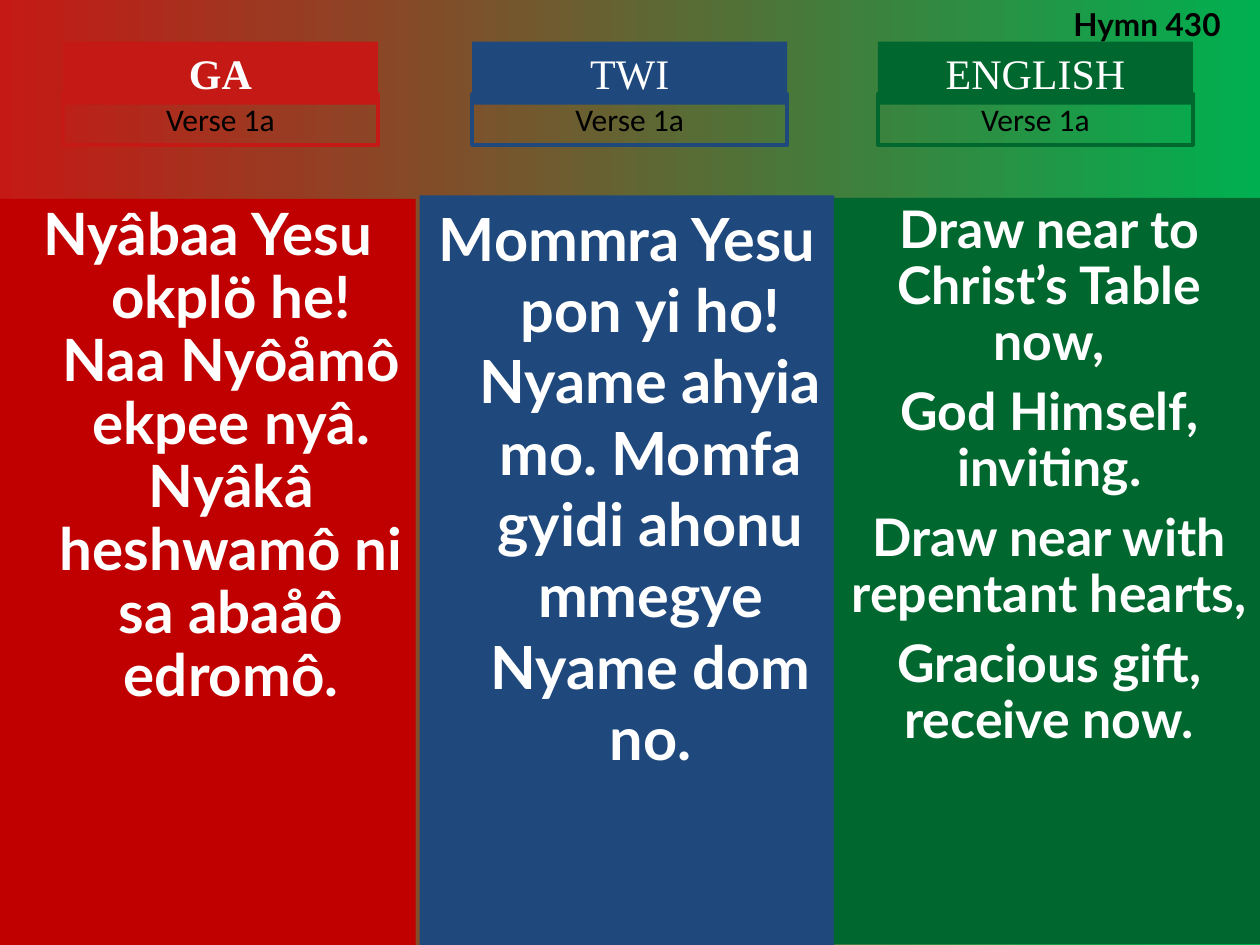
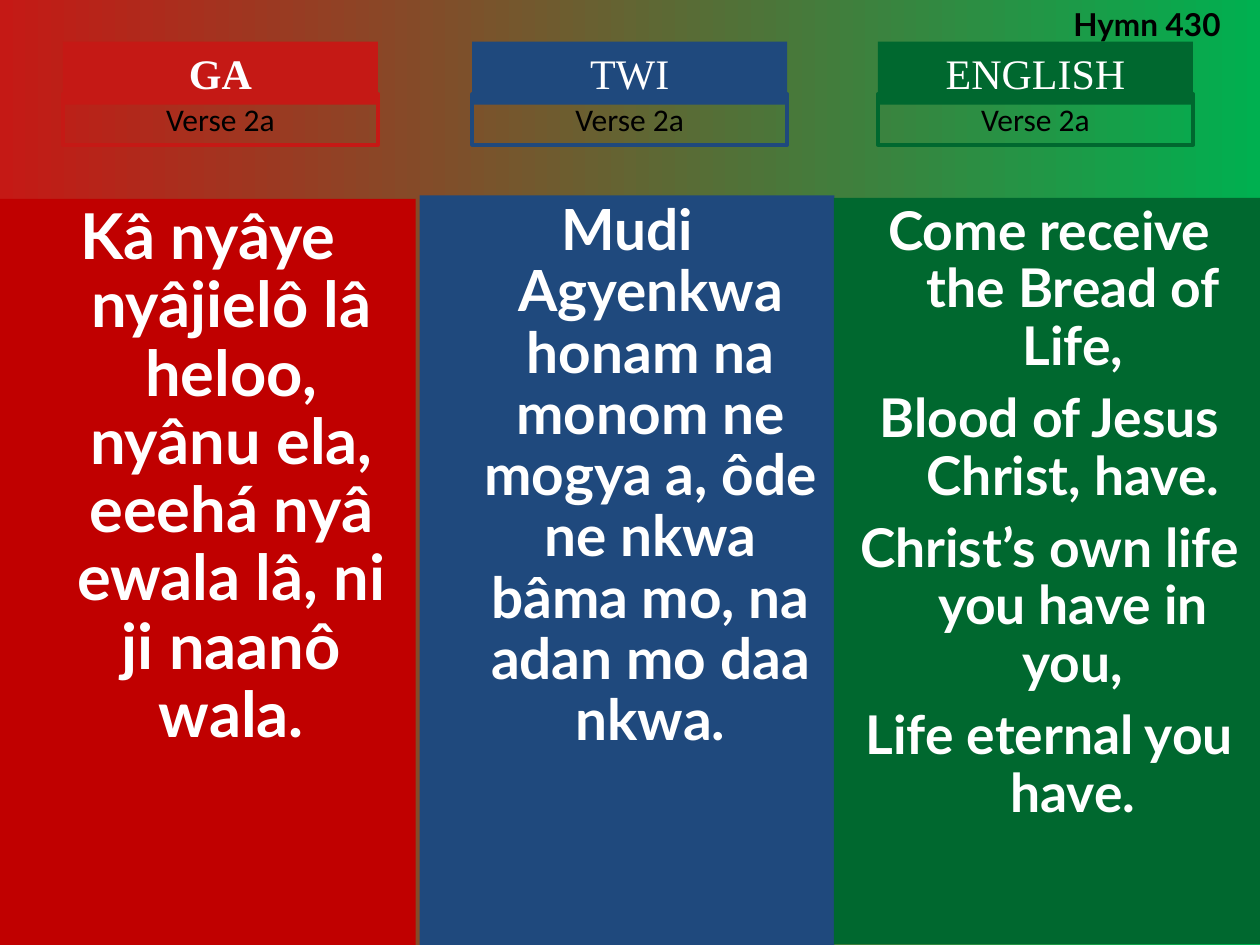
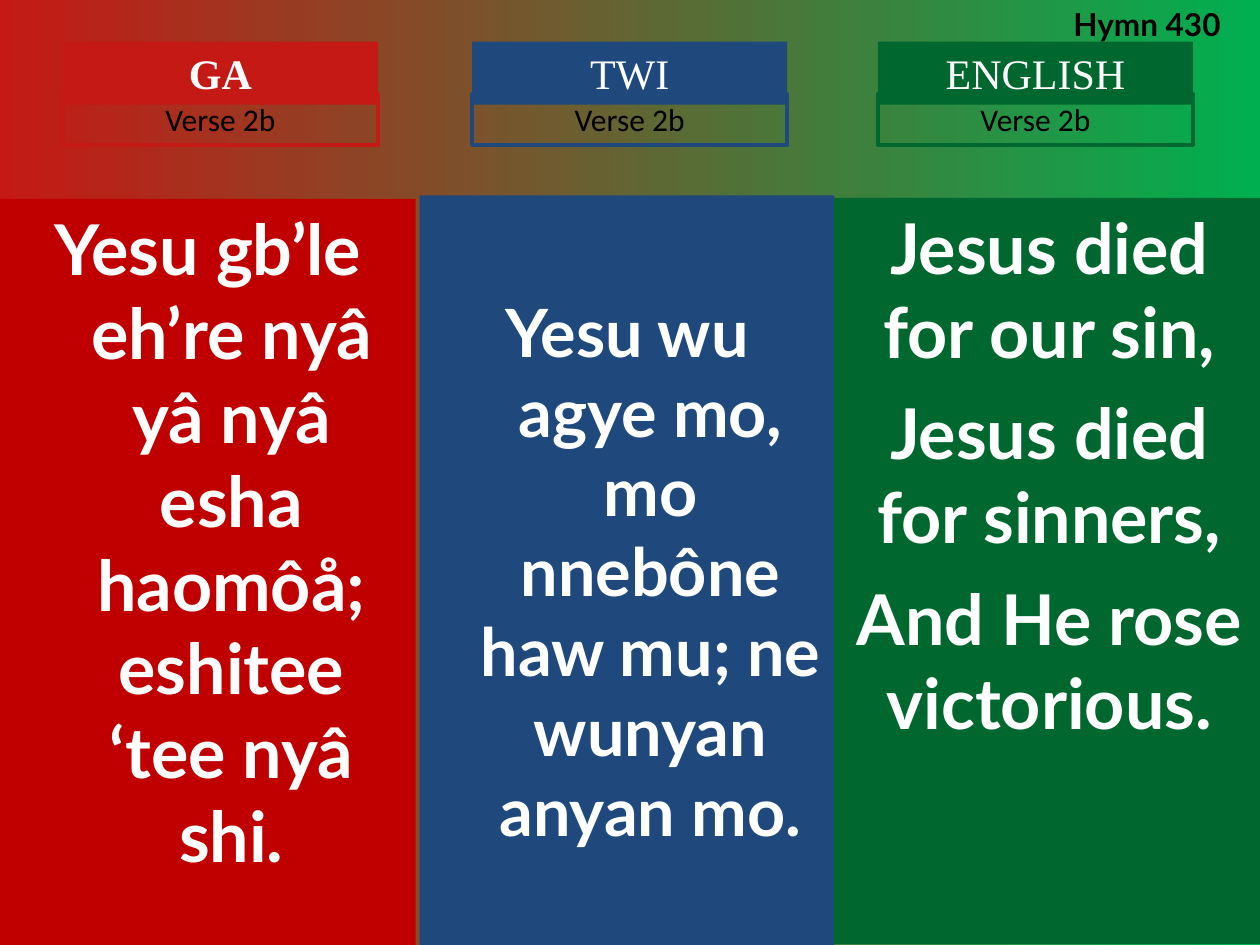
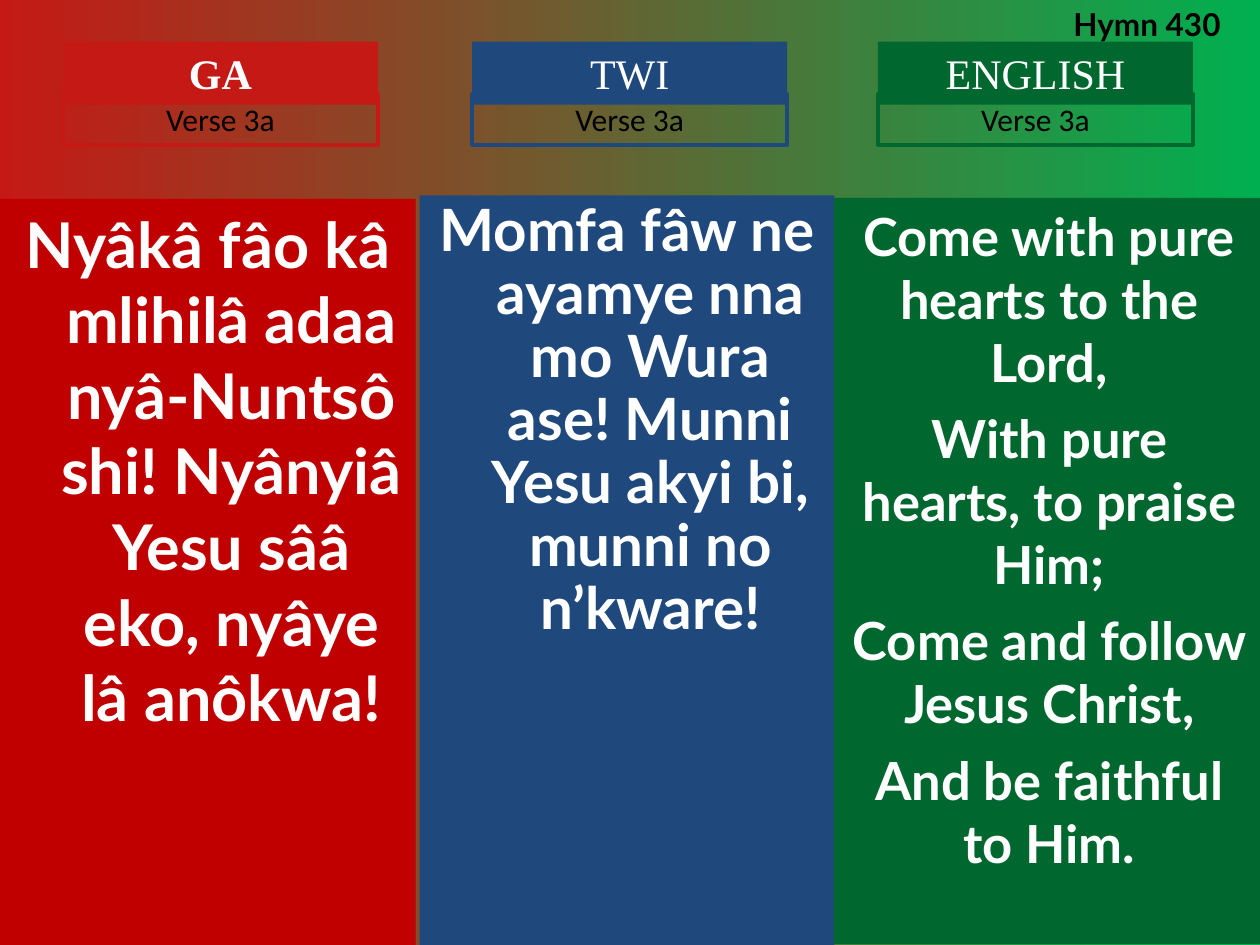
from pptx import Presentation
from pptx.dml.color import RGBColor
from pptx.enum.shapes import MSO_SHAPE
from pptx.enum.text import MSO_ANCHOR, MSO_AUTO_SIZE, PP_ALIGN
from pptx.util import Cm, Pt

RED, BLUE, GREEN = "C51915", "1F497D", "00682F"
WHITE, BLACK = "FFFFFF", "000000"
LABEL_WIDTH = 6.35
HANGING = Cm(0.95)

# name, name in bold, label colour, label left, panel colour, panel place
COLUMNS = [
    ("GA", True, RED, 1.27, "C00000", (0, 4.01, 8.38, 15.04)),
    ("TWI", False, BLUE, 9.52, BLUE, (8.46, 3.94, 8.36, 15.11)),
    ("ENGLISH", False, GREEN, 17.7, GREEN, (16.81, 3.99, 8.69, 15.04)),
]

# verse, then for each column: size, line spacing, hanging indent, anchor, lines
TOP, MIDDLE = MSO_ANCHOR.TOP, MSO_ANCHOR.MIDDLE
VERSES = [
    ("Verse 1a", [
        (33.3, 0.9, True, TOP, ["Nyâbaa Yesu okplö he! Naa Nyôåmô ekpee nyâ. "
                                "Nyâkâ heshwamô ni sa abaåô edromô."]),
        (34, 1.0, True, TOP, ["Mommra Yesu pon yi ho! Nyame ahyia mo. "
                              "Momfa gyidi ahonu mmegye Nyame dom no."]),
        (29.6, 0.9, False, TOP, ["Draw near to Christ’s Table now,",
                                 "God Himself, inviting.",
                                 "Draw near with repentant hearts,",
                                 "Gracious gift, receive now."]),
    ]),
    ("Verse 2a", [
        (36.1, 0.9, True, TOP, ["Kâ nyâye nyâjielô lâ heloo, nyânu ela, "
                                "eeehá nyâ ewala lâ, ni ji naanô wala."]),
        (32.4, 0.9, True, TOP, ["Mudi Agyenkwa honam na monom ne mogya a, "
                                "ôde ne nkwa bâma mo, na adan mo daa nkwa."]),
        (30.5, 0.9, True, TOP, ["Come receive the Bread of Life,",
                                "Blood of Jesus Christ, have.",
                                "Christ’s own life you have in you,",
                                "Life eternal you have."]),
    ]),
    ("Verse 2b", [
        (40, 1.0, True, TOP, ["Yesu gb’le eh’re nyâ yâ nyâ esha haomôå; "
                              "eshitee ‘tee nyâ shi."]),
        (38, 1.0, True, MIDDLE, ["Yesu wu agye mo, mo nnebône haw mu; "
                                 "ne wunyan anyan mo."]),
        (40, 1.0, False, TOP, ["Jesus died for our sin,",
                               "Jesus died for sinners,",
                               "And He rose victorious."]),
    ]),
    ("Verse 3a", [
        (36, 1.0, True, TOP, ["Nyâkâ fâo kâ mlihilâ adaa nyâ-Nuntsô shi! "
                              "Nyânyiâ Yesu sââ eko, nyâye lâ anôkwa!"]),
        (33.3, 0.9, True, TOP, ["Momfa fâw ne ayamye nna mo Wura ase! "
                                "Munni Yesu akyi bi, munni no n’kware!"]),
        (30, 1.0, False, TOP, ["Come with pure hearts to the Lord,",
                               "With pure hearts, to praise Him;",
                               "Come and follow Jesus Christ,",
                               "And be faithful to Him."]),
    ]),
]


def color(value):
    return RGBColor.from_string(value)


def add_box(page, place, lines, font, size, ink, bold=False, fill=None, line=None,
            align=PP_ALIGN.CENTER, anchor=TOP, spacing=1.0, hanging=False):
    """Add a rectangle, or a text box if it has neither fill nor line."""
    place = [Cm(length) for length in place]
    if fill or line:
        box = page.shapes.add_shape(MSO_SHAPE.RECTANGLE, *place)
        box.shadow.inherit = False
        box.fill.background()
        box.line.fill.background()
    else:
        box = page.shapes.add_textbox(*place)
    if fill:
        box.fill.solid()
        box.fill.fore_color.rgb = color(fill)
    if line:
        box.line.color.rgb = color(line)
        box.line.width = Pt(2.25)
    frame = box.text_frame
    frame.word_wrap = True
    frame.vertical_anchor = anchor
    frame.text = "\n".join(lines)
    for number, para in enumerate(frame.paragraphs):
        para.alignment = align
        if spacing != 1:
            para.line_spacing = spacing
        if number:
            para.space_before = Pt(round(size * (0.25 if spacing == 1 else 0.27), 1))
        if hanging:
            properties = para._p.get_or_add_pPr()
            properties.set("marL", str(HANGING))
            properties.set("indent", str(-HANGING))
        para.font.name = font
        para.font.size = Pt(size)
        para.font.bold = bold
        para.font.color.rgb = color(ink)
    return box


deck = Presentation()
deck.slide_width, deck.slide_height = Cm(25.4), Cm(19.05)

for verse, lyrics in VERSES:
    page = deck.slides.add_slide(deck.slide_layouts[6])
    backdrop = page.background.fill
    backdrop.gradient()
    backdrop.gradient_angle = 0
    for stop, shade in zip(backdrop.gradient_stops, (RED, "00B050")):
        stop.color.rgb = color(shade)

    for column, lyric in zip(COLUMNS, lyrics):
        name, name_bold, tint, left, panel_fill, panel_place = column
        size, spacing, hanging, anchor, lines = lyric
        add_box(page, panel_place, lines, "Lato", size, WHITE, bold=True, fill=panel_fill,
                anchor=anchor, spacing=spacing, hanging=hanging)
        name_box = add_box(page, (left, 0.84, LABEL_WIDTH, 1.27), [name],
                           "Times New Roman", 24, WHITE, bold=name_bold, fill=tint)
        verse_box = add_box(page, (left, 1.9, LABEL_WIDTH, 1.02), [verse],
                            "Calibri", 18, BLACK, line=tint)
        for label in (name_box, verse_box):
            label.text_frame.auto_size = MSO_AUTO_SIZE.SHAPE_TO_FIT_TEXT

    hymn_box = add_box(page, (21.39, -0.03, 3.81, 1.02), ["Hymn 430"], "Lato", 18, BLACK,
                       bold=True, align=PP_ALIGN.LEFT)
    hymn_box.text_frame.auto_size = MSO_AUTO_SIZE.SHAPE_TO_FIT_TEXT

deck.save("out.pptx")
